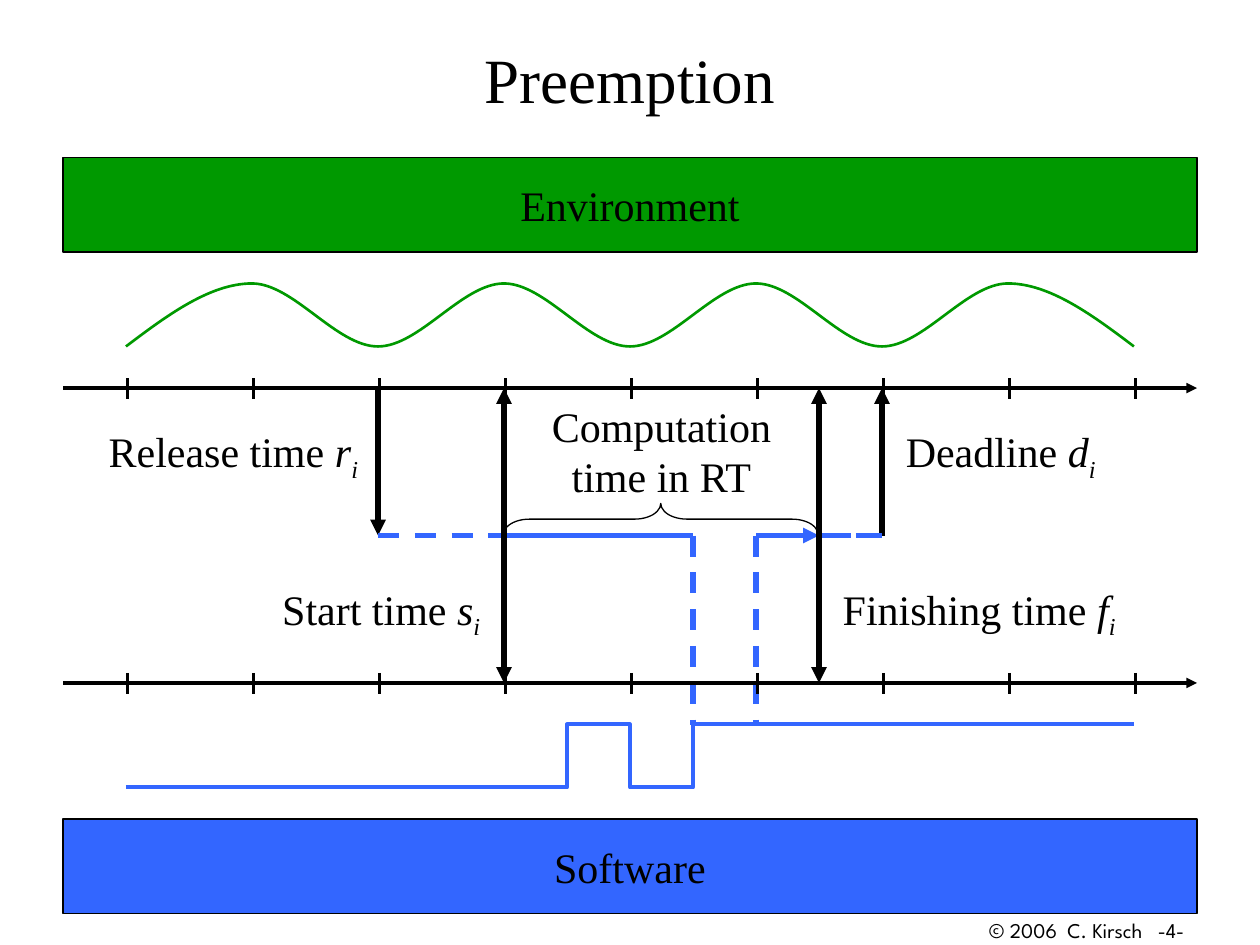
from lxml.etree import SubElement
from pptx import Presentation
from pptx.dml.color import RGBColor
from pptx.enum.dml import MSO_LINE
from pptx.enum.shapes import MSO_CONNECTOR, MSO_SHAPE
from pptx.enum.text import MSO_ANCHOR, PP_ALIGN
from pptx.oxml.ns import qn
from pptx.util import Inches, Pt

BLACK = RGBColor(0x00, 0x00, 0x00)
GREEN = RGBColor(0x00, 0x99, 0x00)
BLUE = RGBColor(0x33, 0x66, 0xFF)
SERIF = "Times New Roman"
SANS = "League Spartan"

UPPER_AXIS, TASK_LEVEL, LOWER_AXIS = 3.08, 4.25, 5.42
SIGNAL_HIGH, SIGNAL_LOW = 5.75, 6.25
RELEASE, START, PREEMPTED, RESUMED, FINISH, DEADLINE = 3, 4, 5.5, 6, 6.5, 7


def add_span(para, text, size=24, font=SERIF, italic=False, subscript=False):
    span = para.add_run()
    span.text = text
    span.font.size = Pt(size)
    span.font.name = font
    span.font.color.rgb = BLACK
    if italic:
        span.font.italic = True
    if subscript:
        span._r.get_or_add_rPr().set("baseline", "-25000")


def add_text(page, area, lines, align=PP_ALIGN.CENTER, anchor=MSO_ANCHOR.TOP,
             size=24, font=SERIF):
    box = page.shapes.add_textbox(*map(Inches, area))
    frame = box.text_frame
    frame.word_wrap = True
    frame.vertical_anchor = anchor
    for index, line in enumerate(lines):
        para = frame.add_paragraph() if index else frame.paragraphs[0]
        para.alignment = align
        add_span(para, line, size, font)
    return box


def add_time_label(page, area, name, symbol, align):
    para = add_text(page, area, [name + " "], align).text_frame.paragraphs[0]
    add_span(para, symbol, italic=True)
    add_span(para, "i", italic=True, subscript=True)


def add_band(page, top, text, color):
    band = page.shapes.add_shape(
        MSO_SHAPE.RECTANGLE, Inches(0.5), Inches(top), Inches(9), Inches(0.75))
    band.shadow.inherit = False
    band.fill.solid()
    band.fill.fore_color.rgb = color
    band.line.color.rgb = BLACK
    band.line.width = Pt(0.75)
    band.text_frame.vertical_anchor = MSO_ANCHOR.MIDDLE
    para = band.text_frame.paragraphs[0]
    para.alignment = PP_ALIGN.CENTER
    add_span(para, text)


def add_line(page, start, end, color=BLACK, width=3, dashed=False, arrows=()):
    line = page.shapes.add_connector(
        MSO_CONNECTOR.STRAIGHT, *map(Inches, (*start, *end)))
    line.line.color.rgb = color
    line.line.width = Pt(width)
    if dashed:
        line.line.dash_style = MSO_LINE.DASH
    properties = line._element.spPr
    for arrow in arrows:
        SubElement(properties.find(qn("a:ln")), qn(f"a:{arrow}"), type="triangle")
    SubElement(properties, qn("a:effectLst"))


def add_time_axis(page, y):
    add_line(page, (0.5, y), (9.5, y), width=2, arrows=["tailEnd"])
    for tick in range(1, 10):
        x = tick + 0.01
        add_line(page, (x, y - 0.08), (x, y + 0.09), width=1.5)


def add_outline(page, points, color, width):
    corners = [(Inches(x), Inches(y)) for x, y in points]
    builder = page.shapes.build_freeform(*corners[0])
    builder.add_line_segments(corners[1:], close=False)
    outline = builder.convert_to_shape()
    outline.shadow.inherit = False
    outline.fill.background()
    outline.line.color.rgb = color
    outline.line.width = Pt(width)
    return outline


def add_curve(page, points, color, width):
    curve = add_outline(page, points, color, width)
    segments = list(curve._element.iter(qn("a:lnTo")))
    for first in range(0, len(segments), 3):
        bezier = SubElement(segments[first].getparent(), qn("a:cubicBezTo"))
        for segment in segments[first:first + 3]:
            bezier.append(segment[0])
            segment.getparent().remove(segment)


def add_wave(page):
    crest, trough = 2.25, 2.75
    points = [(1, trough), (1.33, 2.5), (1.67, crest), (2, crest)]
    for x in range(2, 8):
        here, there = (crest, trough) if x % 2 == 0 else (trough, crest)
        points += [(x + 0.33, here), (x + 0.67, there), (x + 1, there)]
    points += [(8.33, crest), (8.67, 2.5), (9, trough)]
    add_curve(page, points, GREEN, 1.5)


def add_signal(page):
    points = [(1, SIGNAL_LOW)]
    level = SIGNAL_LOW
    for x in (4.5, 5, 5.5):
        points.append((x, level))
        level = SIGNAL_HIGH if level == SIGNAL_LOW else SIGNAL_LOW
        points.append((x, level))
    points.append((9, level))
    add_outline(page, points, BLUE, 2.25)


def add_brace(page):
    brace = page.shapes.add_shape(
        MSO_SHAPE.RIGHT_BRACE, Inches(5.12), Inches(2.87), Inches(0.25), Inches(2.5))
    brace.rotation = 270
    brace.adjustments[0] = 0.83
    brace.shadow.inherit = False
    brace.fill.background()
    brace.line.color.rgb = BLACK
    brace.line.width = Pt(0.75)


def add_task(page):
    def level(start, end, **style):
        add_line(page, (start, TASK_LEVEL), (end, TASK_LEVEL), BLUE, **style)

    level(RESUMED, FINISH, arrows=["tailEnd"])
    level(START, PREEMPTED)
    for start, end in ((FINISH, DEADLINE), (RELEASE, START), (RESUMED, DEADLINE)):
        level(start, end, dashed=True)
    for x in (PREEMPTED, RESUMED):
        add_line(page, (x, TASK_LEVEL), (x, SIGNAL_HIGH), BLUE, dashed=True)


def main():
    deck = Presentation()
    deck.slide_width, deck.slide_height = Inches(10), Inches(7.5)
    page = deck.slides.add_slide(deck.slide_layouts[6])

    add_text(page, (7.42, 7.23, 2.08, 0.25), ["© 2006  C. Kirsch   -4-"],
             PP_ALIGN.RIGHT, size=12, font=SANS)
    add_text(page, (0.75, 0, 8.5, 1.25), ["Preemption"],
             anchor=MSO_ANCHOR.MIDDLE, size=36)
    add_time_axis(page, UPPER_AXIS)
    add_band(page, 1.25, "Environment", GREEN)
    add_band(page, 6.5, "Software", BLUE)
    add_wave(page)
    add_line(page, (RELEASE, UPPER_AXIS), (RELEASE, TASK_LEVEL), arrows=["tailEnd"])
    add_line(page, (DEADLINE, TASK_LEVEL), (DEADLINE, UPPER_AXIS), arrows=["tailEnd"])
    add_signal(page)
    add_task(page)
    for area, name, symbol, align in (
        ((0.64, 3.33, 2.3, 0.56), "Release time", "r", PP_ALIGN.RIGHT),
        ((7.09, 3.33, 1.85, 0.56), "Deadline", "d", PP_ALIGN.LEFT),
        ((6.59, 4.58, 2.5, 0.56), "Finishing time", "f", PP_ALIGN.LEFT),
        ((2.01, 4.58, 1.9, 0.56), "Start time", "s", PP_ALIGN.RIGHT),
    ):
        add_time_label(page, area, name, symbol, align)
    add_time_axis(page, LOWER_AXIS)
    add_brace(page)
    add_text(page, (4.25, 3.13, 2, 0.9), ["Computation", "time in RT"])
    for x in (START, FINISH):
        add_line(page, (x, LOWER_AXIS), (x, UPPER_AXIS), arrows=["headEnd", "tailEnd"])

    deck.save("out.pptx")


if __name__ == "__main__":
    main()
